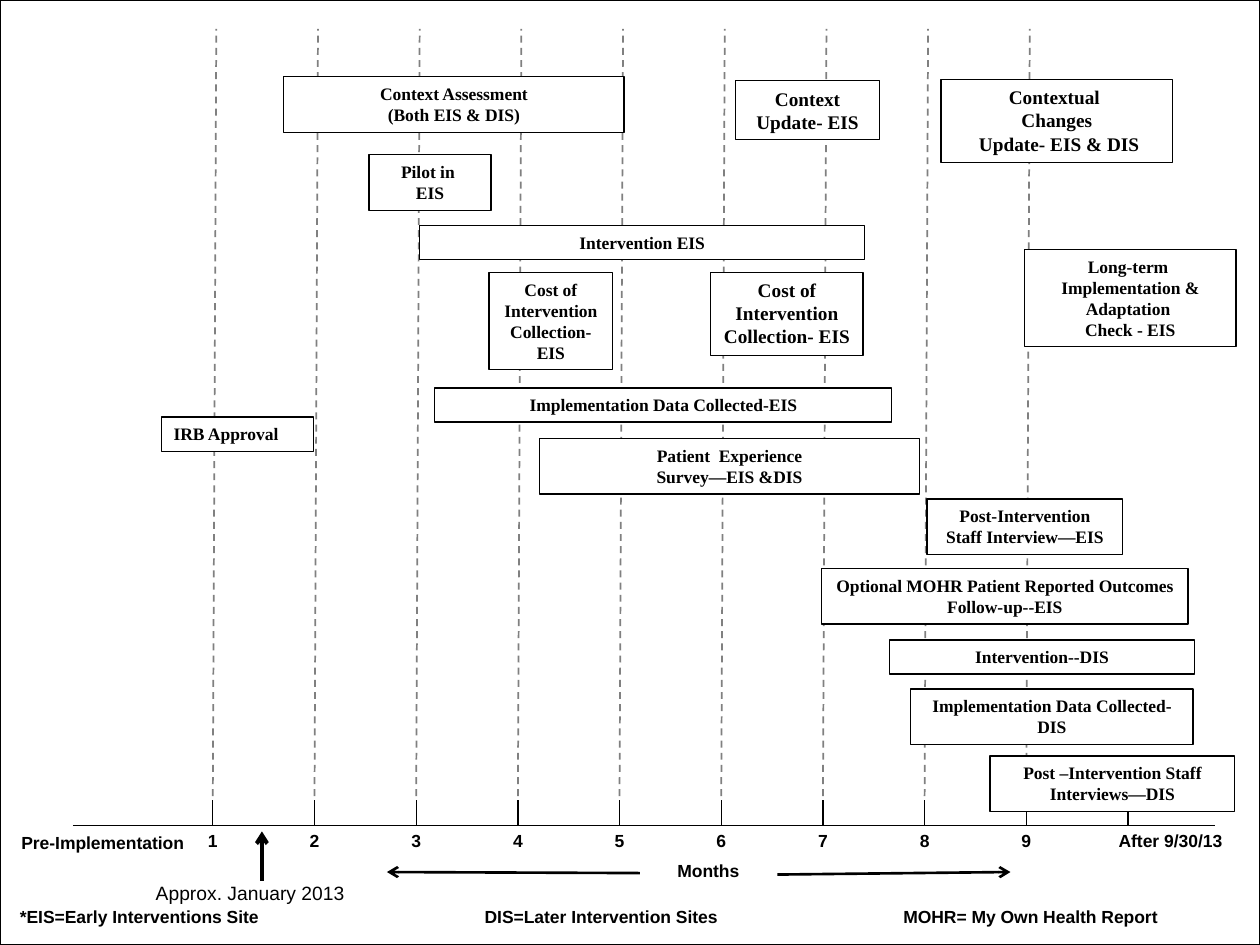
from lxml import etree
from pptx import Presentation
from pptx import util as u
from pptx.dml.color import RGBColor
from pptx.enum import dml, shapes, text
from pptx.oxml import ns

BLACK, WHITE, GREY = "000000", "FFFFFF", "808080"
SANS, SERIF = "Arial", "Times New Roman"
WIDTH, HEIGHT = 25.4, 19.05

FIRST_MONTH, MONTH_STEP = 4.29, 2.05
MONTHS = 9
AXIS_Y, TICK_TOP = 16.64, 16.13
GUIDE_TOP, GUIDE_BOTTOM, GUIDE_LEAN = 0.58, 16.05, 0.07
ONE_LINE, TWO_LINES, FOUR_LINES = 0.69, 1.12, 1.96

# left, top, width, height, wording
ACTIVITIES = [
    (5.72, 1.55, 6.86, TWO_LINES, "Context Assessment\n(Both EIS & DIS)"),
    (7.44, 3.12, 2.46, TWO_LINES, "Pilot in \vEIS"),
    (8.46, 4.55, 8.97, ONE_LINE, "Intervention EIS"),
    (9.86, 5.49, 2.49, FOUR_LINES, "Cost of Intervention Collection-EIS"),
    (8.76, 7.82, 9.22, ONE_LINE, "Implementation Data Collected-EIS"),
    (20.65, 5.03, 4.27, FOUR_LINES,
     "Long-term \vImplementation & Adaptation \vCheck - EIS"),
    (10.87, 8.84, 7.67, TWO_LINES, "Patient  Experience\nSurvey—EIS &DIS"),
    (18.69, 10.06, 3.94, TWO_LINES, "Post-Intervention Staff Interview—EIS"),
    (16.56, 11.46, 7.39, TWO_LINES,
     "Optional MOHR Patient Reported Outcomes Follow-up--EIS"),
    (17.93, 12.9, 6.15, ONE_LINE, "Intervention--DIS"),
    (18.36, 13.89, 5.69, TWO_LINES, "Implementation Data Collected-DIS"),
    (19.96, 15.24, 4.93, TWO_LINES, "Post –Intervention Staff Interviews—DIS"),
]
LARGE_ACTIVITIES = [
    (18.97, 1.6, 4.67, 1.68, "Contextual \nChanges\n Update- EIS & DIS"),
    (14.33, 5.49, 3.07, 1.68, "Cost of Intervention Collection- EIS"),
    (14.83, 1.63, 2.9, 1.19, "Context Update- EIS"),
]


def colour(value):
    return RGBColor.from_string(value)


class Timeline:
    """Style and current page of the study timeline."""

    def __init__(self, page):
        self.page = page

    def set_text(self, box, wording, font, size, bold, centred):
        frame = box.text_frame
        frame.word_wrap = True
        frame.auto_size = text.MSO_AUTO_SIZE.NONE
        frame.vertical_anchor = text.MSO_ANCHOR.TOP
        frame.text = wording
        for para in frame.paragraphs:
            para.alignment = text.PP_ALIGN.CENTER if centred else text.PP_ALIGN.LEFT
            para.font.name = font
            para.font.size = u.Pt(size)
            para.font.bold = bold
            para.font.color.rgb = colour(BLACK)

    def rectangle(self, left, top, width, height):
        box = self.page.shapes.add_shape(
            shapes.MSO_SHAPE.RECTANGLE,
            u.Cm(left), u.Cm(top), u.Cm(width), u.Cm(height))
        box.shadow.inherit = False
        box.fill.solid()
        box.fill.fore_color.rgb = colour(WHITE)
        box.line.color.rgb = colour(BLACK)
        box.line.width = u.Pt(0.75)
        return box

    def activity(self, left, top, width, height, wording, size=10, centred=True):
        box = self.rectangle(left, top, width, height)
        self.set_text(box, wording, SERIF, size, True, centred)

    def label(self, left, top, width, wording, size=10, bold=True, centred=True):
        box = self.page.shapes.add_textbox(
            u.Cm(left), u.Cm(top), u.Cm(width), u.Cm(ONE_LINE))
        self.set_text(box, wording, SANS, size, bold, centred)
        return box

    def legend(self, left, top, width, entries, stops):
        """Set the entries on one line, at left tab stops."""
        box = self.label(left, top, width, "\t".join(entries), centred=False)
        properties = box.text_frame.paragraphs[0]._p.get_or_add_pPr()
        tabs = etree.Element(ns.qn("a:tabLst"))
        for stop in stops:
            etree.SubElement(tabs, ns.qn("a:tab"), pos=str(u.Cm(stop)), algn="l")
        properties.insert(0, tabs)

    def line(self, start, end, width=0.75, shade=BLACK, dashed=False, arrow=False):
        connector = self.page.shapes.add_connector(
            shapes.MSO_CONNECTOR.STRAIGHT,
            u.Cm(start[0]), u.Cm(start[1]), u.Cm(end[0]), u.Cm(end[1]))
        connector.line.color.rgb = colour(shade)
        connector.line.width = u.Pt(width)
        if dashed:
            connector.line.dash_style = dml.MSO_LINE.DASH
        properties = connector._element.spPr
        if arrow:
            etree.SubElement(properties.find(ns.qn("a:ln")),
                             ns.qn("a:tailEnd"), type="arrow")
        etree.SubElement(properties, ns.qn("a:effectLst"))


def main():
    deck = Presentation()
    deck.slide_width, deck.slide_height = u.Cm(WIDTH), u.Cm(HEIGHT)
    chart = Timeline(deck.slides.add_slide(deck.slide_layouts[6]))

    chart.rectangle(0, 0, WIDTH, HEIGHT)
    chart.label(2.67, 17.65, 4.75, "Approx. January 2013", size=11, bold=False)

    chart.line((1.47, AXIS_Y), (24.49, AXIS_Y))
    for month in range(1, MONTHS + 2):
        x = FIRST_MONTH + (month - 1) * MONTH_STEP
        chart.line((x, TICK_TOP), (x, AXIS_Y))
        if month <= MONTHS:
            chart.line((x, GUIDE_BOTTOM), (x + GUIDE_LEAN, GUIDE_TOP),
                       width=1, shade=GREY, dashed=True)
            chart.label(x - 0.43, 16.61, 0.86, str(month))

    chart.label(22.3, 16.61, 3.25, "After 9/30/13", centred=False)
    chart.label(0.18, 16.64, 3.84, "Pre-Implementation", centred=False)
    chart.label(13.06, 17.22, 2.44, "Months")
    chart.line((5.28, 17.75), (5.28, 16.76), width=2.25, arrow=True)
    chart.line((12.9, 17.6), (7.8, 17.58), width=1.5, arrow=True)
    chart.line((15.67, 17.63), (20.37, 17.58), width=1.5, arrow=True)
    chart.legend(0.15, 18.14, 24.74,
                 ["*EIS=Early Interventions Site", "DIS=Later Intervention Sites",
                  "MOHR= My Own Health Report"], stops=[9.37, 17.81])

    chart.activity(3.25, 8.41, 3.07, ONE_LINE, "IRB Approval", centred=False)
    for activity in ACTIVITIES:
        chart.activity(*activity)
    for activity in LARGE_ACTIVITIES:
        chart.activity(*activity, size=11)

    deck.save("out.pptx")


if __name__ == "__main__":
    main()
